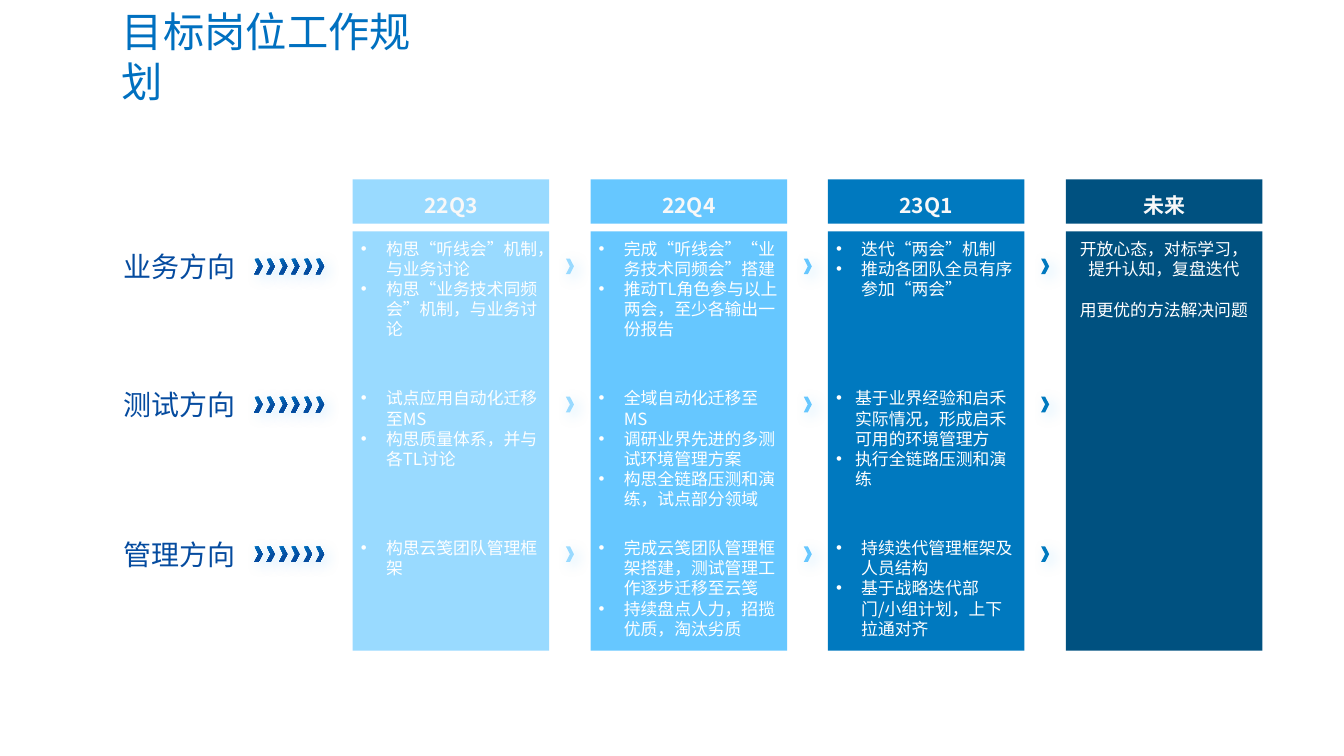
from dataclasses import dataclass
from lxml.etree import SubElement
from pptx import Presentation
from pptx.dml.color import RGBColor
from pptx.enum.shapes import MSO_SHAPE as Shape
from pptx.enum.text import MSO_ANCHOR as Anchor, PP_ALIGN as Align
from pptx.oxml.ns import qn
from pptx.util import Pt

PX = 9144


@dataclass(frozen=True)
class Theme:
    font: str = "Noto Sans CJK SC"
    title: str = "0070C0"
    label: str = "054B9F"
    header: str = "F8F8F8"
    body: str = "FFFFFF"
    shadow: str = "00A2FF"
    columns: tuple = ("99DAFF", "66C7FF", "0079BF", "005180")
    title_size: int = 59
    label_size: int = 40
    header_size: int = 30
    body_size: int = 24


theme = Theme()
presentation = Presentation()
presentation.slide_width = 2667 * PX
presentation.slide_height = 1500 * PX
slide = presentation.slides.add_slide(presentation.slide_layouts[6])


def write(shape, lines, size, color, align, anchor=Anchor.TOP, inset=(6, 6), bold=False, hang=0):
    frame = shape.text_frame
    frame.word_wrap = True
    frame.vertical_anchor = anchor
    frame.margin_left = frame.margin_right = inset[0] * PX
    frame.margin_top = frame.margin_bottom = inset[1] * PX
    frame.text = "\n".join(lines)
    for paragraph in frame.paragraphs:
        paragraph.alignment = align
        if hang:
            properties = paragraph._p.get_or_add_pPr()
            properties.set("marL", str(hang * PX))
            properties.set("indent", str(-hang * PX))
            SubElement(properties, qn("a:buFont"), typeface="Arial")
            SubElement(properties, qn("a:buChar"), char="•")
        for run in paragraph.runs:
            run.font.name = theme.font
            run.font.size = Pt(size)
            run.font.bold = bold
            run.font.color.rgb = RGBColor.from_string(color)
            SubElement(run.font._element, qn("a:ea"), typeface=theme.font)
    return frame


def draw(kind, left, top, width, height, colors, shadow=False):
    shape = slide.shapes.add_shape(kind, left * PX, top * PX, width * PX, height * PX)
    shape.line.fill.background()
    shape.shadow.inherit = False
    if len(colors) == 1:
        shape.fill.solid()
        shape.fill.fore_color.rgb = RGBColor.from_string(colors[0])
    else:
        shape.fill.gradient()
        shape.fill.gradient_angle = 315
        for stop, color, position in zip(shape.fill.gradient_stops, colors, (0, 0.7)):
            stop.color.rgb = RGBColor.from_string(color)
            stop.position = position
    if shadow:
        effects = shape._element.spPr.find(qn("a:effectLst"))
        outer = SubElement(effects, qn("a:outerShdw"), blurRad=str(Pt(20)), dist=str(Pt(8)),
                           dir="2700000", algn="tl", rotWithShape="0")
        tint = SubElement(outer, qn("a:srgbClr"), val=theme.shadow)
        SubElement(tint, qn("a:alpha"), val="25000")
    return shape


title = slide.shapes.add_textbox(236 * PX, 56 * PX, 667 * PX, 110 * PX)
write(title, ["目标岗位工作规划"], theme.title_size, theme.title, Align.LEFT, Anchor.MIDDLE)

rows = [("业务方向", 490, 467), ("测试方向", 764, 764), ("管理方向", 1061, 1061)]
for name, label_top, text_top in rows:
    label = slide.shapes.add_textbox(236 * PX, label_top * PX, 573 * PX, 77 * PX)
    write(label, [name], theme.label_size, theme.label, Align.JUSTIFY, inset=(10, 5))
    for step in range(6):
        draw(Shape.CHEVRON, 505 + round(step * 24.4), label_top + 23, 16, 31,
             (theme.title, theme.label), shadow=True)

quarters = [
    ("22Q3", [
        ["构思“听线会”机制，与业务讨论", "构思“业务技术同频会”机制，与业务讨论"],
        ["试点应用自动化迁移至MS", "构思质量体系，并与各TL讨论"],
        ["构思云笺团队管理框架"],
    ]),
    ("22Q4", [
        ["完成“听线会”“业务技术同频会”搭建", "推动TL角色参与以上两会，至少各输出一份报告"],
        ["全域自动化迁移至MS", "调研业界先进的多测试环境管理方案", "构思全链路压测和演练，试点部分领域"],
        ["完成云笺团队管理框架搭建，测试管理工作逐步迁移至云笺", "持续盘点人力，招揽优质，淘汰劣质"],
    ]),
    ("23Q1", [
        ["迭代“两会”机制", "推动各团队全员有序参加“两会”"],
        ["基于业界经验和启禾实际情况，形成启禾可用的环境管理方", "执行全链路压测和演练"],
        ["持续迭代管理框架及人员结构", "基于战略迭代部门/小组计划，上下拉通对齐"],
    ]),
    ("未来", []),
]
for index, ((quarter, plans), color) in enumerate(zip(quarters, theme.columns)):
    left = 700 + round(index * 471.67)
    header = draw(Shape.RECTANGLE, left, 356, 390, 88, (color,))
    frame = write(header, [quarter], theme.header_size, theme.header, Align.CENTER,
                  Anchor.MIDDLE, (7, 3), bold=True)
    frame.paragraphs[0].line_spacing = 1.3
    draw(Shape.RECTANGLE, left, 459, 390, 832, (color,))
    for (name, label_top, text_top), plan in zip(rows, plans):
        draw(Shape.CHEVRON, left + 423, label_top + 23, 16, 31, (color,), shadow=True)
        box = slide.shapes.add_textbox((left + 10) * PX, text_top * PX, 369 * PX, 213 * PX)
        hang = 38 if (quarter, name) == ("23Q1", "测试方向") else 50
        write(box, plan, theme.body_size, theme.body, Align.LEFT, hang=hang)

future = slide.shapes.add_textbox(2125 * PX, 468 * PX, 369 * PX, 805 * PX)
frame = write(future, ["开放心态，对标学习，提升认知，复盘迭代", "用更优的方法解决问题"],
              theme.body_size, theme.body, Align.CENTER)
frame.paragraphs[1].space_before = Pt(29)

presentation.save("out.pptx")
